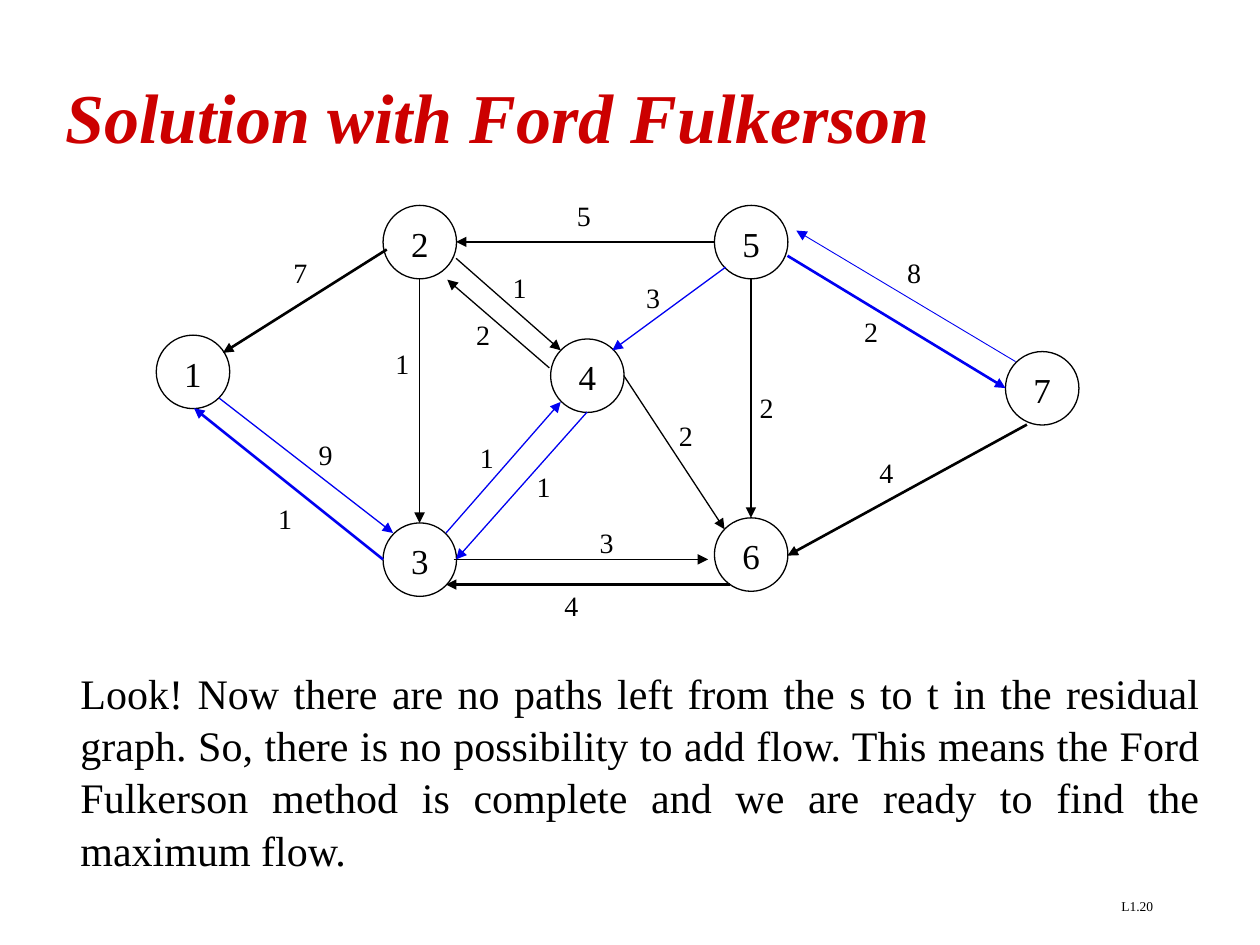
from pptx import Presentation
from pptx.dml.color import RGBColor
from pptx.enum.shapes import MSO_CONNECTOR, MSO_SHAPE
from pptx.enum.text import MSO_ANCHOR, PP_ALIGN
from pptx.oxml.ns import qn
from pptx.util import Inches, Pt
from lxml.etree import SubElement

SLIDE_WIDTH, SLIDE_HEIGHT = Inches(10), Inches(7.5)
COLUMNS = 100
CELL = SLIDE_WIDTH / COLUMNS
NODE_CELLS = 5.83
LABEL_CELLS = (3.2, 3.7)
BLACK, BLUE, RED = "000000", "0000F1", "CC0000"
THIN, LIGHT, HEAVY = 0.5, 0.75, 1.5

TITLE_FORMAT = {"size": Pt(40), "bold": True, "italic": True}
BODY_FORMAT = {"size": Pt(24)}
NODE_FORMAT = {"size": Pt(20)}
WEIGHT_FORMAT = {"size": Pt(16)}
NUMBER_FORMAT = {"size": Pt(7.7)}

NODES = {
    "1": (0.4, 11.6),
    "2": (18.4, 1.3),
    "3": (18.4, 26.5),
    "4": (31.7, 11.9),
    "5": (44.7, 1.3),
    "6": (44.7, 26.1),
    "7": (67.8, 12.9),
}

EDGES = [
    ((5.4, 16.6), (19.2, 27.3), "9", (12.3, 19.2), BLUE, LIGHT),
    ((18.4, 29.4), (3.4, 17.4), "1", (9.1, 24.3), BLUE, HEAVY),
    ((18.7, 4.8), (5.7, 13), "7", (10.3, 4.8), BLACK, HEAVY),
    ((21.3, 7.1), (21.3, 26.5), "1", (18.4, 12), BLACK, LIGHT),
    ((24.2, 5.5), (32.5, 12.8), "1", (27.7, 6), BLACK, LIGHT),
    ((31.6, 14.2), (23.5, 7.2), "2", (24.8, 9.7), BLACK, LIGHT),
    ((23.4, 27.3), (32.5, 16.9), "1", (25.1, 19.5), BLUE, LIGHT),
    ((34.6, 17.7), (24.2, 29.4), "1", (29.6, 21.8), BLUE, LIGHT),
    ((24, 29.4), (44.2, 29.4), "3", (34.6, 26.2), BLACK, LIGHT),
    ((45.9, 31.4), (23.4, 31.4), "4", (31.8, 31.2), BLACK, HEAVY),
    ((44.7, 4.2), (24.2, 4.2), "5", (32.8, 0.3), BLACK, HEAVY),
    ((45.6, 6.2), (36.6, 12.8), "3", (38.3, 6.8), BLUE, LIGHT),
    ((37.5, 14.8), (45.5, 27), "2", (40.9, 17.7), BLACK, LIGHT),
    ((47.6, 7.1), (47.6, 26.1), "2", (47.3, 15.5), BLACK, LIGHT),
    ((50.5, 5.3), (67.8, 15.8), "2", (55.6, 9.5), BLUE, HEAVY),
    ((68.6, 13.7), (51.2, 3.3), "8", (59, 4.8), BLUE, THIN),
    ((69.5, 18.7), (50.5, 29.1), "4", (56.8, 20.7), BLACK, HEAVY),
]


def color(hex_string):
    return RGBColor.from_string(hex_string)


def cells(*counts):
    return [round(count * CELL) for count in counts]


def shift(box, point):
    return box[0] + point[0], box[1] + point[1]


def write(holder, wording, font_format, ink=BLACK, align=PP_ALIGN.LEFT,
          anchor=MSO_ANCHOR.TOP):
    frame = holder.text_frame
    frame.word_wrap = True
    frame.vertical_anchor = anchor
    line = frame.paragraphs[0]
    line.text = wording
    line.alignment = align
    line.font.name = "Times New Roman"
    line.font.color.rgb = color(ink)
    for name, value in font_format.items():
        setattr(line.font, name, value)
    return line


def place_text(slide, box, wording, font_format, **layout):
    return write(slide.shapes.add_textbox(*cells(*box)), wording, font_format, **layout)


def place_node(slide, corner, number):
    node = slide.shapes.add_shape(
        MSO_SHAPE.OVAL, *cells(*corner, NODE_CELLS, NODE_CELLS))
    node.shadow.inherit = False
    node.fill.background()
    node.line.color.rgb = color(BLACK)
    node.line.width = Pt(LIGHT)
    write(node, number, NODE_FORMAT, align=PP_ALIGN.CENTER)


def place_edge(slide, start, end, ink, weight):
    edge = slide.shapes.add_connector(MSO_CONNECTOR.STRAIGHT, *cells(*start, *end))
    edge.line.color.rgb = color(ink)
    edge.line.width = Pt(weight)
    SubElement(edge.line._get_or_add_ln(), qn("a:tailEnd"), type="triangle")
    SubElement(edge._element.spPr, qn("a:effectLst"))


def place_graph(slide, box):
    for number, corner in NODES.items():
        place_node(slide, shift(box, corner), number)
    for start, end, capacity, corner, ink, weight in EDGES:
        place_edge(slide, shift(box, start), shift(box, end), ink, weight)
        place_text(slide, (*shift(box, corner), *LABEL_CELLS), capacity, WEIGHT_FORMAT)


def place_explanation(slide, box):
    explanation = place_text(
        slide, box,
        "Look! Now there are no paths left from the s to t in the residual graph. "
        "So, there is no possibility to add flow. This means the Ford Fulkerson "
        "method is complete and we are ready to find the maximum flow.",
        BODY_FORMAT, align=PP_ALIGN.JUSTIFY)
    explanation.line_spacing = 1.04


def main():
    deck = Presentation()
    deck.slide_width, deck.slide_height = SLIDE_WIDTH, SLIDE_HEIGHT
    slide = deck.slides.add_slide(deck.slide_layouts[6])
    place_text(slide, (71.7, 70.8, 20.8, 2.5), "L1.20", NUMBER_FORMAT,
               align=PP_ALIGN.RIGHT)
    place_text(slide, (4.2, 4.2, 93.3, 10), "Solution with Ford Fulkerson",
               TITLE_FORMAT, ink=RED, anchor=MSO_ANCHOR.MIDDLE)
    place_explanation(slide, (5.4, 52.3, 90.8, 17))
    place_graph(slide, (12, 15))
    deck.save("out.pptx")


if __name__ == "__main__":
    main()
